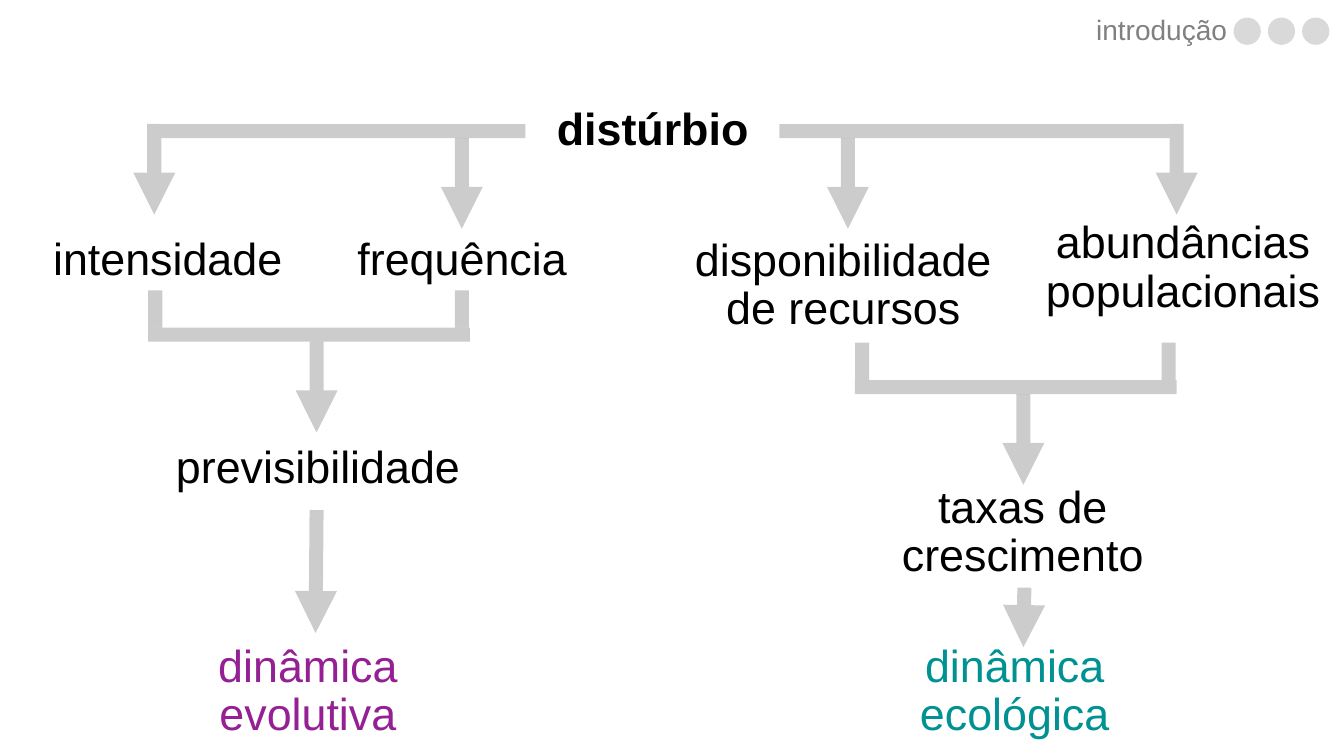
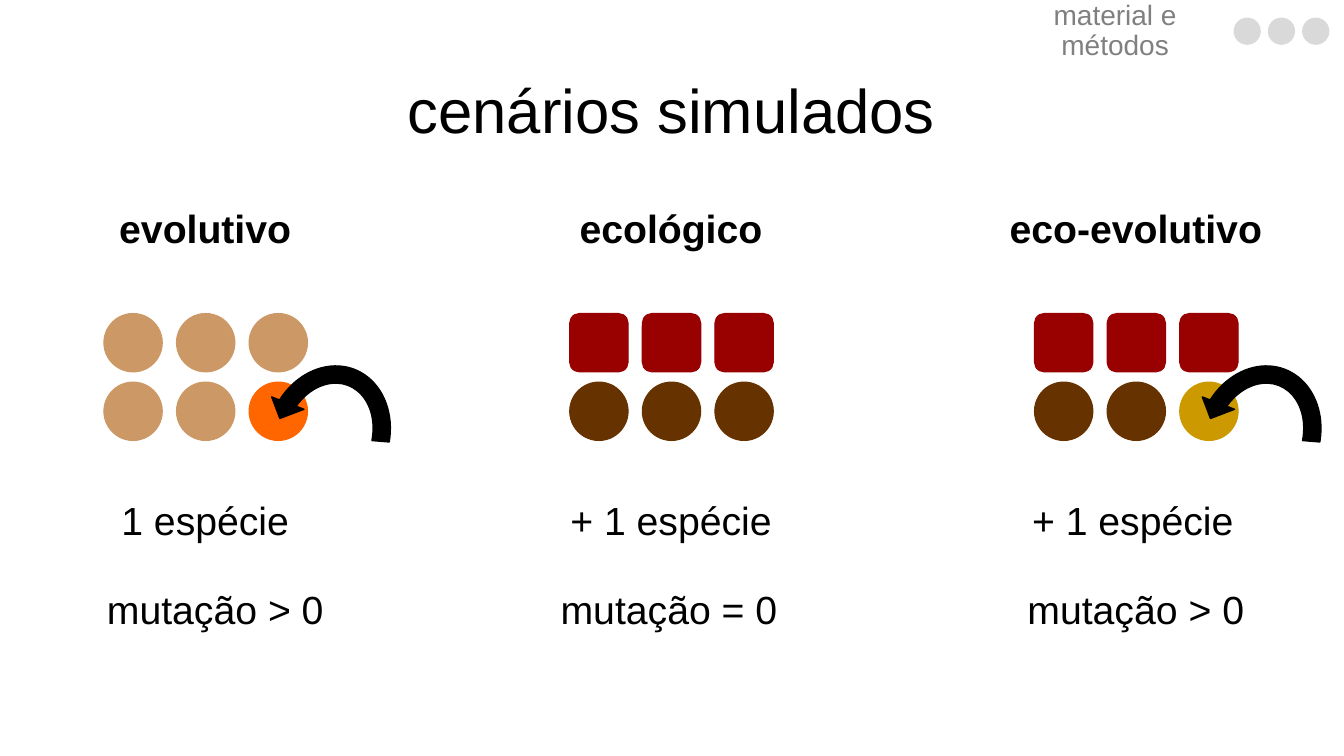
"""Build two slides on disturbance dynamics and the simulated scenarios."""
from dataclasses import dataclass

from lxml import etree
from pptx import Presentation
from pptx.dml.color import RGBColor
from pptx.enum.shapes import MSO_CONNECTOR, MSO_SHAPE
from pptx.enum.text import MSO_ANCHOR, MSO_AUTO_SIZE, PP_ALIGN
from pptx.oxml.ns import qn
from pptx.presentation import Presentation as Deck
from pptx.shapes.autoshape import Shape
from pptx.slide import Slide
from pptx.text.text import TextFrame
from pptx.util import Inches, Pt

STRAIGHT = MSO_CONNECTOR.STRAIGHT
CIRCLE, SQUARE = MSO_SHAPE.OVAL, MSO_SHAPE.ROUNDED_RECTANGLE
CURVED_ARROW = MSO_SHAPE.CIRCULAR_ARROW
MIDDLE, NO_FIT = MSO_ANCHOR.MIDDLE, MSO_AUTO_SIZE.NONE
CENTER, RIGHT = PP_ALIGN.CENTER, PP_ALIGN.RIGHT

BLACK = RGBColor(0x00, 0x00, 0x00)
GRAY = RGBColor(0x80, 0x80, 0x80)
LIGHT_GRAY = RGBColor(0xD9, 0xD9, 0xD9)
PURPLE = RGBColor(0x94, 0x20, 0x93)
TEAL = RGBColor(0x00, 0x91, 0x93)
TAN = RGBColor(0xCC, 0x99, 0x66)
ORANGE = RGBColor(0xFF, 0x66, 0x00)
RED = RGBColor(0x99, 0x00, 0x00)
BROWN = RGBColor(0x66, 0x33, 0x00)
GOLD = RGBColor(0xCC, 0x99, 0x00)

FONT = "Arial"
TITLE_ONLY, BLANK = 5, 6
FLOW_OPACITY = "20000"
ARROW_LENGTH, HALF_BAR = 0.9, 0.07
TOKEN_SIZE, TOKEN_PITCH, ROW_PITCH = 0.58, 0.72, 0.68
TOKEN_INDENT, TOKENS_TOP = 0.38, 3.11
ARROW_ADJUSTMENTS = (0.125, 11.423, 204.577, 117.73, 0.125)


@dataclass(frozen=True)
class Concept:
    """A concept of the flow diagram and the box that holds it."""
    text: str
    left: float
    top: float
    width: float = 3.77
    height: float = 1.99
    color: RGBColor = BLACK
    bold: bool = False


@dataclass(frozen=True)
class Fork:
    """A bar that leaves the root and drops two arrows."""
    start: float
    end: float
    inner: float
    outer: float


@dataclass(frozen=True)
class Merge:
    """Two legs joined by a bar with one arrow below."""
    left: float
    y: float


@dataclass(frozen=True)
class Scenario:
    """A simulated scenario with its two rows of individuals."""
    name: str
    left: float
    species: str
    species_left: float
    mutation: str
    mutation_left: float
    top_shape: MSO_SHAPE
    top_color: RGBColor
    bottom_color: RGBColor
    mutant: RGBColor | None = None


CONCEPTS = (
    Concept("distúrbio", 4.59, 0.3, bold=True),
    Concept("dinâmica evolutiva", 1.44, 6.14, 3.23, 1.45, PURPLE),
    Concept("dinâmica ecológica", 8.45, 6.14, 3.23, 1.45, TEAL),
    Concept("abundâncias populacionais", 9.85, 1.67),
    Concept("frequência", 2.7, 1.59),
    Concept("taxas de crescimento", 8.26, 4.29),
    Concept("disponibilidade\nde recursos", 6.48, 1.84),
    Concept("intensidade", -0.22, 1.59),
    Concept("previsibilidade", 1.27, 3.66),
)
FORKS = (Fork(7.73, 11.6, 8.41, 11.67), Fork(5.21, 1.6, 4.58, 1.53))
MERGES = (Merge(1.47, 3.32), Merge(8.48, 3.84))
SCENARIOS = (
    Scenario("evolutivo", 0.65, "1 espécie", 0.65, "mutação > 0", 0.75,
             CIRCLE, TAN, TAN, ORANGE),
    Scenario("ecológico", 5.27, "+ 1 espécie", 5.27, "mutação = 0", 5.25,
             SQUARE, RED, BROWN),
    Scenario("eco-evolutivo", 9.88, "+ 1 espécie", 9.85, "mutação > 0", 9.88,
             SQUARE, RED, BROWN, GOLD),
)


def write(frame: TextFrame, text: str, *, size: int, color: RGBColor = BLACK,
          bold: bool = False, align: PP_ALIGN = CENTER) -> None:
    """Fill a text frame with evenly formatted paragraphs."""
    frame.text = text
    frame.word_wrap = True
    frame.auto_size = NO_FIT
    frame.vertical_anchor = MIDDLE
    for paragraph in frame.paragraphs:
        paragraph.alignment = align
        paragraph.line_spacing = 0.9
        font = paragraph.font
        font.name, font.size, font.bold = FONT, Pt(size), bold
        font.color.rgb = color


def add_label(slide: Slide, text: str, left: float, top: float, width: float,
              height: float, **style) -> None:
    """Add a text box with the given text format."""
    box = slide.shapes.add_textbox(Inches(left), Inches(top), Inches(width), Inches(height))
    write(box.text_frame, text, **style)


def add_figure(slide: Slide, kind: MSO_SHAPE, left: float, top: float, width: float,
               height: float, color: RGBColor, outline: float = 0) -> Shape:
    """Add a flat shape in one colour."""
    figure = slide.shapes.add_shape(
        kind, Inches(left), Inches(top), Inches(width), Inches(height))
    figure.shadow.inherit = False
    figure.fill.solid()
    figure.fill.fore_color.rgb = color
    figure.line.color.rgb = color
    figure.line.width = Pt(outline)
    return figure


def add_flow(slide: Slide, x1: float, y1: float, x2: float, y2: float,
             arrow: bool = False) -> None:
    """Add a thick translucent line, with an arrowhead if asked."""
    flow = slide.shapes.add_connector(STRAIGHT, Inches(x1), Inches(y1), Inches(x2), Inches(y2))
    flow.line.color.rgb = BLACK
    flow.line.width = Pt(10)
    properties = flow._element.spPr
    outline = properties.find(qn("a:ln"))
    etree.SubElement(outline.find(".//" + qn("a:srgbClr")), qn("a:alpha"), val=FLOW_OPACITY)
    if arrow:
        etree.SubElement(outline, qn("a:tailEnd"), type="triangle")
    etree.SubElement(properties, qn("a:effectLst"))


def add_drop(slide: Slide, x: float, y: float) -> None:
    """Add a downward arrow of the standard length."""
    add_flow(slide, x, y, x, y + ARROW_LENGTH, arrow=True)


def add_fork(slide: Slide, fork: Fork) -> None:
    """Draw a fork from the root concept."""
    y = 1.3
    add_flow(slide, fork.start, y, fork.end, y)
    add_drop(slide, fork.outer, y - HALF_BAR)
    add_drop(slide, fork.inner, y + HALF_BAR)


def add_merge(slide: Slide, merge: Merge) -> None:
    """Draw a merge of two concepts into the next one."""
    left, y = merge.left, merge.y
    add_flow(slide, left + 3.19, y, left, y)
    add_drop(slide, left + 1.67, y + HALF_BAR)
    for x in (left + 0.07, left + 3.11):
        add_flow(slide, x, y - HALF_BAR, x, y - 0.44)


def add_section(slide: Slide, section: str, align: PP_ALIGN) -> None:
    """Draw the section name and its three dots."""
    add_label(slide, section, 9.85, 0.08, 2.42, 0.47, size=20, color=GRAY, align=align)
    for index in range(3):
        add_figure(slide, CIRCLE, 12.24 + index * 0.34, 0.18, 0.26, 0.26, LIGHT_GRAY)


def add_scenario(slide: Slide, scenario: Scenario) -> None:
    """Draw one scenario column."""
    first = scenario.left + TOKEN_INDENT
    rows = (
        (scenario.top_shape, [scenario.top_color] * 3),
        (CIRCLE, [scenario.bottom_color] * 2 + [scenario.mutant or scenario.bottom_color]),
    )
    for row, (kind, colors) in enumerate(rows):
        for column, color in enumerate(colors):
            add_figure(slide, kind, first + column * TOKEN_PITCH,
                       TOKENS_TOP + row * ROW_PITCH, TOKEN_SIZE, TOKEN_SIZE, color)
    for text, left, top, bold in (
        (scenario.name, scenario.left, 1.56, True),
        (scenario.species, scenario.species_left, 4.46, False),
        (scenario.mutation, scenario.mutation_left, 5.34, False),
    ):
        add_label(slide, text, left, top, 2.77, 1.45, size=28, bold=bold)
    if scenario.mutant:
        mutation = add_figure(slide, CURVED_ARROW, first + 1.54, 3.53, 1.37, 1.61, BLACK, 1)
        for index, value in enumerate(ARROW_ADJUSTMENTS):
            mutation.adjustments[index] = value
        mutation.rotation = 200.9
        mutation._element.spPr.find(qn("a:xfrm")).set("flipV", "1")


def build_introduction(deck: Deck) -> None:
    """Build the slide on the effects of disturbance."""
    slide = deck.slides.add_slide(deck.slide_layouts[BLANK])
    add_section(slide, "introdução", RIGHT)
    for concept in CONCEPTS:
        add_label(slide, concept.text, concept.left, concept.top, concept.width,
                  concept.height, size=32, color=concept.color, bold=concept.bold)
    for fork in FORKS:
        add_fork(slide, fork)
    for merge in MERGES:
        add_merge(slide, merge)
    add_flow(slide, 10.16, 5.83, 10.15, 6.42, arrow=True)
    add_flow(slide, 3.14, 5.06, 3.13, 6.28, arrow=True)


def build_methods(deck: Deck) -> None:
    """Build the slide on the simulated scenarios."""
    slide = deck.slides.add_slide(deck.slide_layouts[TITLE_ONLY])
    title = slide.shapes.title
    title.left, title.top = Inches(0.56), Inches(0.4)
    title.width, title.height = Inches(12.2), Inches(1.45)
    write(title.text_frame, "cenários simulados", size=44)
    add_section(slide, "material e métodos", CENTER)
    for scenario in SCENARIOS:
        add_scenario(slide, scenario)


def main() -> None:
    """Create and save the presentation."""
    deck = Presentation()
    deck.slide_width, deck.slide_height = Inches(13.33), Inches(7.5)
    build_introduction(deck)
    build_methods(deck)
    deck.save("out.pptx")


if __name__ == "__main__":
    main()
